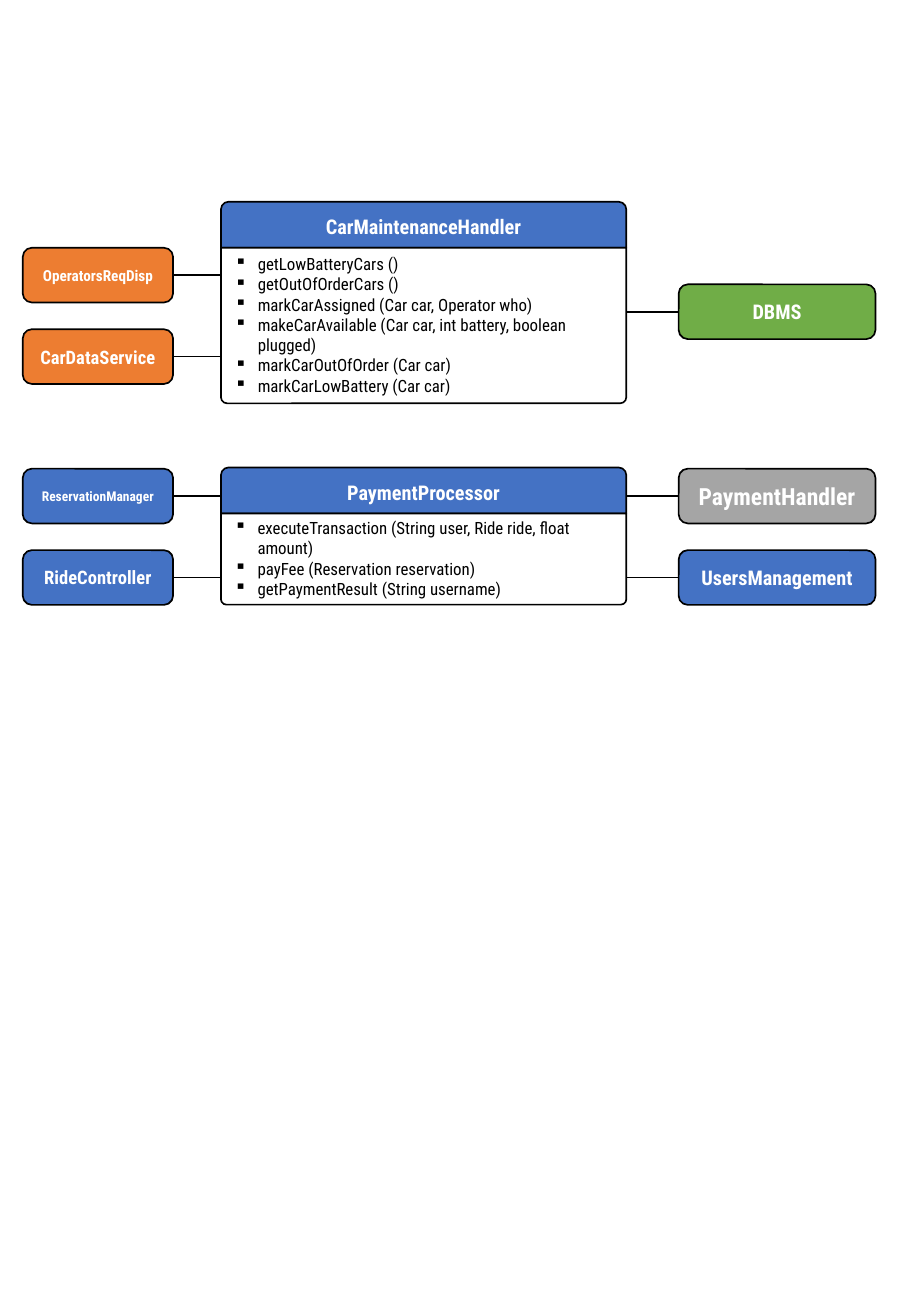
import dataclasses
import pptx
import pptx.util
import pptx.dml.color
import pptx.enum.shapes
import pptx.enum.text
import pptx.oxml.ns
from lxml import etree

SHAPES = pptx.enum.shapes.MSO_SHAPE
ALIGN = pptx.enum.text.PP_ALIGN


@dataclasses.dataclass(frozen=True)
class Theme:
    font: str = "Roboto Condensed"
    blue: str = "4472C4"
    orange: str = "ED7D31"
    green: str = "70AD47"
    gray: str = "A5A5A5"
    white: str = "FFFFFF"
    black: str = "000000"
    title_size: int = 12
    method_size: int = 10
    line_width: int = 1


@dataclasses.dataclass(frozen=True)
class Box:
    left: float
    top: float
    width: float
    height: float

    @property
    def right(self):
        return self.left + self.width

    @property
    def middle(self):
        return self.top + self.height / 2


THEME = Theme()
deck = pptx.Presentation()
deck.slide_width = pptx.util.Inches(7.5)
deck.slide_height = pptx.util.Inches(10.83)
page = deck.slides.add_slide(deck.slide_layouts[6])

# Grid, in percent of the slide's width and height
LEFT_COLUMN = (2.5, 16.5)
CLASS_COLUMN = (24.25, 44.5)
RIGHT_COLUMN = (74.5, 21.6)
HEADER_HEIGHT = 3.5
PARTNER_HEIGHT = 4.16
PARTNER_PITCH = 6.19


def across(share):
    return round(deck.slide_width * share / 100)


def down(share):
    return round(deck.slide_height * share / 100)


def color(code):
    return pptx.dml.color.RGBColor.from_string(code)


def add_block(kind, box, fill, lines, size, ink, bold=False, align=ALIGN.CENTER):
    """Outlined shape with one paragraph per line of text."""
    block = page.shapes.add_shape(kind, across(box.left), down(box.top),
                                  across(box.width), down(box.height))
    block.shadow.inherit = False
    block.fill.solid()
    block.fill.fore_color.rgb = color(fill)
    block.line.color.rgb = color(THEME.black)
    block.line.width = pptx.util.Pt(THEME.line_width)
    frame = block.text_frame
    frame.word_wrap = True
    frame.vertical_anchor = pptx.enum.text.MSO_ANCHOR.MIDDLE
    frame.text = "\n".join(lines)
    for para in frame.paragraphs:
        para.alignment = align
        for span in para.runs:
            span.font.name = THEME.font
            span.font.size = pptx.util.Pt(size)
            span.font.bold = bold
            span.font.color.rgb = color(ink)
    return block


def add_bullet(para):
    indent = pptx.util.Inches(0.19)
    properties = para._p.get_or_add_pPr()
    properties.set("marL", str(indent))
    properties.set("indent", str(-indent))
    bullet = etree.SubElement(properties, pptx.oxml.ns.qn("a:buChar"))
    bullet.set("char", "▪")


def add_link(start, end, height):
    """Horizontal line between two columns."""
    link = page.shapes.add_connector(
        pptx.enum.shapes.MSO_CONNECTOR.STRAIGHT,
        across(start), down(height), across(end), down(height))
    link.line.color.rgb = color(THEME.black)
    link.line.width = pptx.util.Pt(THEME.line_width)
    etree.SubElement(link._element.spPr, pptx.oxml.ns.qn("a:effectLst"))


def add_class(box, name, methods, rounding):
    """Class name in a header above its list of methods."""
    header = Box(box.left, box.top, box.width, HEADER_HEIGHT)
    body = Box(box.left, box.top + HEADER_HEIGHT, box.width, box.height - HEADER_HEIGHT)
    title = add_block(SHAPES.ROUND_2_SAME_RECTANGLE, header, THEME.blue, [name],
                      THEME.title_size, THEME.white, bold=True)
    title_para = title.text_frame.paragraphs[0]
    title_para.line_spacing = 1.07
    title_para.space_after = pptx.util.Pt(8)
    listing = add_block(SHAPES.ROUND_2_SAME_RECTANGLE, body, THEME.white, methods,
                        THEME.method_size, THEME.black, align=ALIGN.LEFT)
    listing.adjustments[0] = 0
    listing.adjustments[1] = rounding
    for para in listing.text_frame.paragraphs:
        add_bullet(para)


def add_partners(class_box, column, offset, partners):
    """Stack of components beside a class, each linked to it."""
    left, width = column
    for index, (name, fill, size) in enumerate(partners):
        box = Box(left, class_box.top + offset + index * PARTNER_PITCH,
                  width, PARTNER_HEIGHT)
        add_block(SHAPES.ROUNDED_RECTANGLE, box, fill, [name], size,
                  THEME.white, bold=True)
        if left < class_box.left:
            add_link(box.right, class_box.left, box.middle)
        else:
            add_link(class_box.right, left, box.middle)


def add_component(top, height, name, methods, rounding, left_side, right_side):
    """A class with the components on both of its sides."""
    box = Box(CLASS_COLUMN[0], top, CLASS_COLUMN[1], height)
    add_class(box, name, methods, rounding)
    add_partners(box, LEFT_COLUMN, *left_side)
    add_partners(box, RIGHT_COLUMN, *right_side)


# Car maintenance
add_component(
    15.33, 15.32, "CarMaintenanceHandler",
    ["getLowBatteryCars ()",
     "getOutOfOrderCars ()",
     "markCarAssigned (Car car, Operator who)",
     "makeCarAvailable (Car car, int battery, boolean plugged)",
     "markCarOutOfOrder (Car car)",
     "markCarLowBattery (Car car)"],
    0.04,
    (HEADER_HEIGHT, [("OperatorsReqDisp", THEME.orange, 9),
                     ("CarDataService", THEME.orange, 11)]),
    (6.28, [("DBMS", THEME.green, 12)]))

# Payment
add_component(
    35.52, 10.43, "PaymentProcessor",
    ["executeTransaction (String user, Ride ride, float amount)",
     "payFee (Reservation reservation)",
     "getPaymentResult (String username)"],
    0.06,
    (0.1, [("ReservationManager", THEME.blue, 8),
           ("RideController", THEME.blue, 11)]),
    (0.1, [("PaymentHandler", THEME.gray, 14),
           ("UsersManagement", THEME.blue, 12)]))

deck.save("out.pptx")
